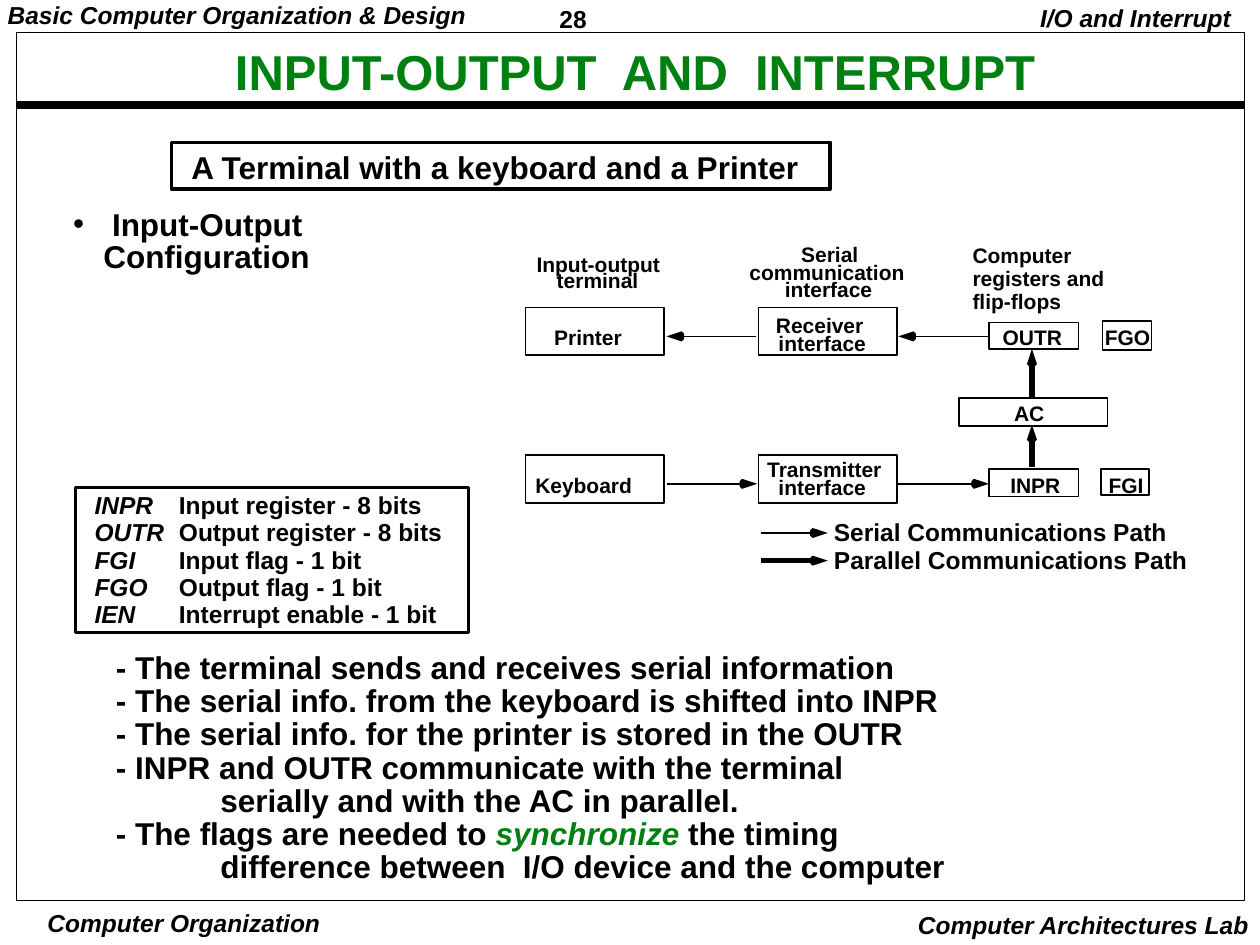
import math
from collections import namedtuple

from lxml import etree
from pptx import Presentation
from pptx import util as u
from pptx.dml.color import RGBColor
from pptx.enum import shapes, text
from pptx.oxml import ns

Box = namedtuple("Box", "left top width height")
BLACK, GREEN = "000000", "008011"
ALIGN = text.PP_ALIGN
TIGHT, ROOMY, SNUG = (0.07, 0.03), (0.1, 0.05), (0.03, 0.01)
SLACK = 0.1
SLACK_BEFORE = {ALIGN.LEFT: 0, ALIGN.CENTER: SLACK / 2, ALIGN.RIGHT: SLACK}


def colour(value):
    """Turn a hex string into a colour."""
    return RGBColor.from_string(value)


def inside(box, left, top, width, height):
    """Place a box relative to the corner of another."""
    return Box(box.left + left, box.top + top, width, height)


def add_span(para, words, size, italic=False, ink=BLACK):
    """Add one formatted run."""
    span = para.add_run()
    span.text = words
    font = span.font
    font.name, font.size = "Arial", u.Pt(size)
    font.bold, font.italic = True, italic
    font.color.rgb = colour(ink)


def prepare_frame(holder, margins, wrap, fit):
    """Set the margins, wrapping and anchor of a text holder."""
    frame = holder.text_frame
    frame.margin_left = frame.margin_right = u.Inches(margins[0])
    frame.margin_top = frame.margin_bottom = u.Inches(margins[1])
    frame.word_wrap = wrap
    frame.auto_size = fit
    frame.vertical_anchor = text.MSO_ANCHOR.TOP
    return frame


def format_para(para, spacing, align=ALIGN.LEFT, margin=0.0, indent=0.0):
    """Set the alignment, line spacing and indents of a paragraph."""
    para.alignment, para.line_spacing = align, spacing
    para.space_before = para.space_after = u.Pt(0)
    settings = para._p.get_or_add_pPr()
    settings.set("marL", str(u.Inches(margin)))
    settings.set("indent", str(u.Inches(indent)))


def next_para(frame, index):
    """Return the first paragraph or a new one."""
    return frame.add_paragraph() if index else frame.paragraphs[0]


def add_text_box(page, box, margins, wrap=False):
    """Add an empty text box and return its frame."""
    holder = page.shapes.add_textbox(*map(u.Inches, box))
    return prepare_frame(holder, margins, wrap, text.MSO_AUTO_SIZE.SHAPE_TO_FIT_TEXT)


def add_label(page, box, words, size=12, margins=ROOMY, italic=False,
              align=ALIGN.LEFT, spacing=0.9):
    """Add a label with one paragraph for each line and some slack in its width."""
    roomy_box = inside(box, -SLACK_BEFORE[align], 0, box.width + SLACK, box.height)
    frame = add_text_box(page, roomy_box, margins)
    for index, line in enumerate(words.split("\n")):
        para = next_para(frame, index)
        format_para(para, spacing, align)
        add_span(para, line, size, italic)


def add_outline(page, box, weight=1.0):
    """Add an unfilled black rectangle."""
    shape = page.shapes.add_shape(shapes.MSO_SHAPE.RECTANGLE, *map(u.Inches, box))
    shape.shadow.inherit = False
    shape.fill.background()
    shape.line.color.rgb = colour(BLACK)
    shape.line.width = u.Pt(weight)


def add_line(page, start, end, weight):
    """Add a straight black line."""
    line = page.shapes.add_connector(
        shapes.MSO_CONNECTOR.STRAIGHT, *map(u.Inches, (*start, *end)))
    line.line.color.rgb = colour(BLACK)
    line.line.width = u.Pt(weight)
    etree.SubElement(line._element.spPr, ns.qn("a:effectLst"))


def add_arrow(page, box, start, tip, weight):
    """Add a line with a slim solid head, relative to a box."""
    start = (box.left + start[0], box.top + start[1])
    tip = (box.left + tip[0], box.top + tip[1])
    length = math.dist(start, tip)
    dx, dy = (tip[0] - start[0]) / length, (tip[1] - start[1]) / length

    def point(back, side):
        """Find a point behind the tip and beside the line."""
        return (u.Inches(tip[0] - back * dx - side * dy),
                u.Inches(tip[1] - back * dy + side * dx))

    add_line(page, start, (tip[0] - 0.12 * dx, tip[1] - 0.12 * dy), weight)
    builder = page.shapes.build_freeform(*point(0, 0), scale=1.0)
    builder.add_line_segments(
        [point(0.12, 0.04), point(0.14, 0.02), point(0.14, -0.02), point(0.12, -0.04)])
    head = builder.convert_to_shape()
    head.shadow.inherit = False
    head.fill.solid()
    head.fill.fore_color.rgb = colour(BLACK)
    head.line.fill.background()


def build_border(page, box):
    """Draw the page frame, the rule and the running headers and footers."""
    add_label(page, inside(box, 4.37, 0, 1.08, 0.29), "28", 14, TIGHT, spacing=1.01)
    add_label(page, inside(box, -0.01, 0, 3.78, 0.27),
              "Basic Computer Organization & Design", 14, TIGHT, True)
    add_label(page, inside(box, 8.16, 0, 1.71, 0.31), "I/O and Interrupt", 14,
              italic=True, align=ALIGN.RIGHT)
    add_label(page, inside(box, 0.35, 7.2, 2.22, 0.26), "Computer Organization", 14,
              SNUG, True, ALIGN.CENTER, 1.0)
    add_label(page, inside(box, 7.18, 7.17, 2.83, 0.33), "Computer Architectures Lab", 14,
              italic=True, align=ALIGN.RIGHT, spacing=1.0)
    add_line(page, (box.left + 0.13, box.top + 0.83), (box.left + 9.87, box.top + 0.83), 4.5)
    add_outline(page, inside(box, 0.13, 0.26, 9.75, 6.89), 0.5)


def fill_placeholder(holder, box, words, size, spacing, ink=BLACK, **layout):
    """Move a placeholder and write one paragraph in it."""
    holder.left, holder.top, holder.width, holder.height = map(u.Inches, box)
    frame = prepare_frame(holder, TIGHT, True, text.MSO_AUTO_SIZE.NONE)
    para = frame.paragraphs[0]
    format_para(para, spacing, **layout)
    add_span(para, words, size, ink=ink)


def build_registers(page, box):
    """List the registers and flags in a heavy frame."""
    registers = [
        ("INPR", "Input register - 8 bits"), ("OUTR", "Output register - 8 bits"),
        ("FGI", "Input flag - 1 bit"), ("FGO", "Output flag - 1 bit"),
        ("IEN", "Interrupt enable - 1 bit")]
    add_outline(page, box, 2)
    frame = add_text_box(page, inside(box, 0.08, 0.01, 4.25, 1.14), TIGHT, True)
    for index, (name, meaning) in enumerate(registers):
        para = next_para(frame, index)
        format_para(para, 0.93, ALIGN.JUSTIFY, 0.67, -0.67)
        add_span(para, name + "\t", 14, True)
        add_span(para, meaning, 14)


def build_notes(page, box):
    """Write the remarks, with continuation lines indented."""
    remarks = [
        (0, ["- The terminal sends and receives serial information"]),
        (0, ["- The serial info. from the keyboard is shifted into INPR"]),
        (0, ["- The serial info. for the printer is stored in the OUTR"]),
        (0, ["- INPR and OUTR communicate with the terminal"]),
        (0.83, ["serially and with the AC in parallel."]),
        (0, ["- The flags are needed to ", "synchronize", " the timing"]),
        (0.83, ["difference between  I/O device and the computer"])]
    frame = add_text_box(page, box, TIGHT)
    for index, (margin, parts) in enumerate(remarks):
        para = next_para(frame, index)
        format_para(para, 0.88, margin=margin)
        for part in parts:
            stressed = part == "synchronize"
            add_span(para, part, 18, stressed, GREEN if stressed else BLACK)


def build_diagram(page, box):
    """Draw the terminal, the interfaces and the registers with their paths."""
    units = [(left, top, 1.1, 0.38) for left in (0, 1.85) for top in (0.55, 1.72)]
    registers = [(4.58, 0.66, 0.39, 0.23), (3.68, 0.67, 0.71, 0.21),
                 (3.44, 1.27, 1.18, 0.22), (3.68, 1.83, 0.71, 0.22),
                 (4.57, 1.83, 0.38, 0.21)]
    for part in units + registers:
        add_outline(page, inside(box, *part))
    labels = [
        ("Input-output", -0.01, 0.08, 1.18), ("terminal", 0.15, 0.21, 0.85),
        ("Serial", 2.09, 0, 0.65), ("communication", 1.68, 0.14, 1.43),
        ("interface", 1.96, 0.28, 0.89), ("Printer", 0.13, 0.66, 0.74),
        ("Keyboard", -0.02, 1.83, 0.97), ("Receiver", 1.89, 0.56, 0.89),
        ("interface", 1.91, 0.71, 0.89), ("Transmitter", 1.82, 1.71, 1.12),
        ("interface", 1.91, 1.85, 0.89), ("FGO", 4.5, 0.66, 0.56),
        ("OUTR", 3.69, 0.66, 0.67), ("AC", 3.78, 1.26, 0.44),
        ("INPR", 3.75, 1.83, 0.6), ("FGI", 4.53, 1.83, 0.48)]
    for words, left, top, width in labels:
        add_label(page, inside(box, left, top, width, 0.28), words)
    add_label(page, inside(box, 3.45, 0.01, 1.25, 0.82),
              "Computer\nregisters and\nflip-flops")
    for left in (1.12, 2.96):
        add_arrow(page, box, (left + 0.71, 0.78), (left, 0.78), 1)
        add_arrow(page, box, (left, 1.95), (left + 0.72, 1.95), 1)
    for bottom, top in ((1.27, 0.88), (1.82, 1.48)):
        add_arrow(page, box, (4.02, bottom), (4.02, top), 3)


def build_legend(page, box):
    """Explain the thin and the heavy arrows."""
    rows = [("Serial Communications Path", 0, 2.84, 1),
            ("Parallel Communications Path", 0.22, 3.01, 3)]
    for words, top, width, weight in rows:
        add_arrow(page, box, (0, top + 0.15), (0.53, top + 0.15), weight)
        add_label(page, inside(box, 0.48, top, width, 0.31), words, 14)


def main():
    """Build the slide and save it."""
    deck = Presentation()
    deck.slide_width, deck.slide_height = u.Inches(10), u.Inches(7.5)
    page = deck.slides.add_slide(deck.slide_layouts[1])
    build_border(page, Box(0, 0, 10, 7.5))
    fill_placeholder(page.shapes.title, Box(1.09, 0.36, 7.9, 0.46),
                     "INPUT-OUTPUT  AND  INTERRUPT", 28, 0.87, GREEN, align=ALIGN.CENTER)
    fill_placeholder(page.placeholders[1], Box(0.51, 1.64, 3.52, 0.57),
                     " Input-Output Configuration", 18, 0.85, margin=0.24, indent=-0.24)
    add_outline(page, Box(1.36, 1.13, 5.23, 0.37), 2)
    add_label(page, Box(1.42, 1.16, 5.05, 0.37), "A Terminal with a keyboard and a Printer", 18)
    build_registers(page, Box(0.6, 3.87, 3.12, 1.15))
    build_notes(page, Box(0.85, 5.15, 6.74, 1.91))
    build_diagram(page, Box(4.17, 1.89, 5, 2.1))
    build_legend(page, Box(6.04, 4.08, 3.5, 0.53))
    deck.save("out.pptx")


if __name__ == "__main__":
    main()
